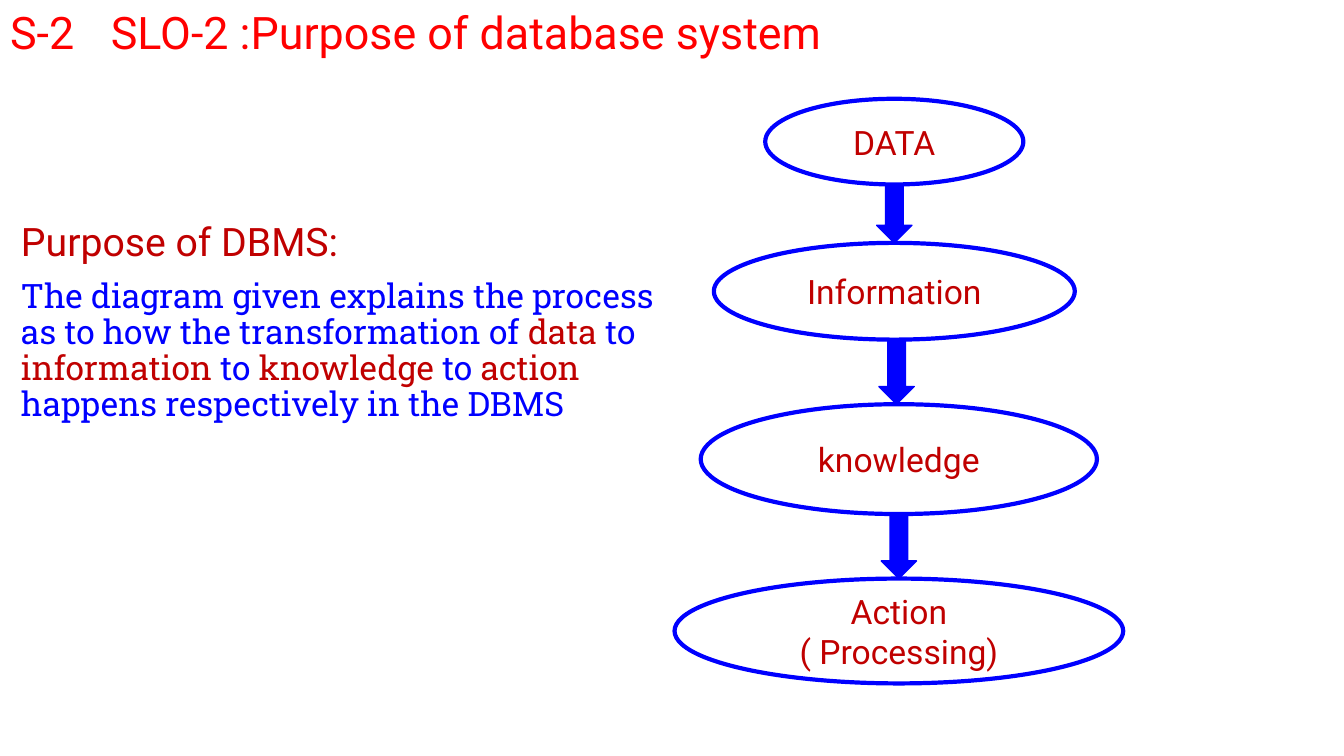
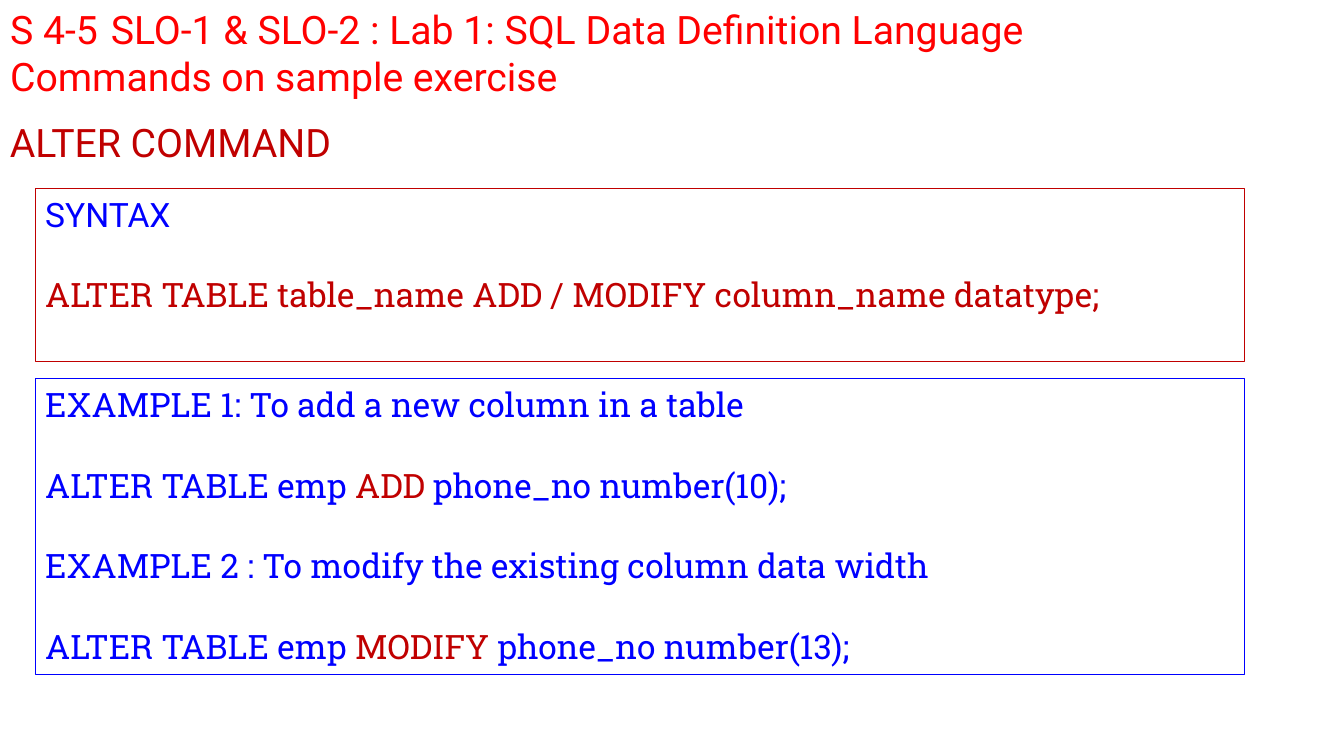
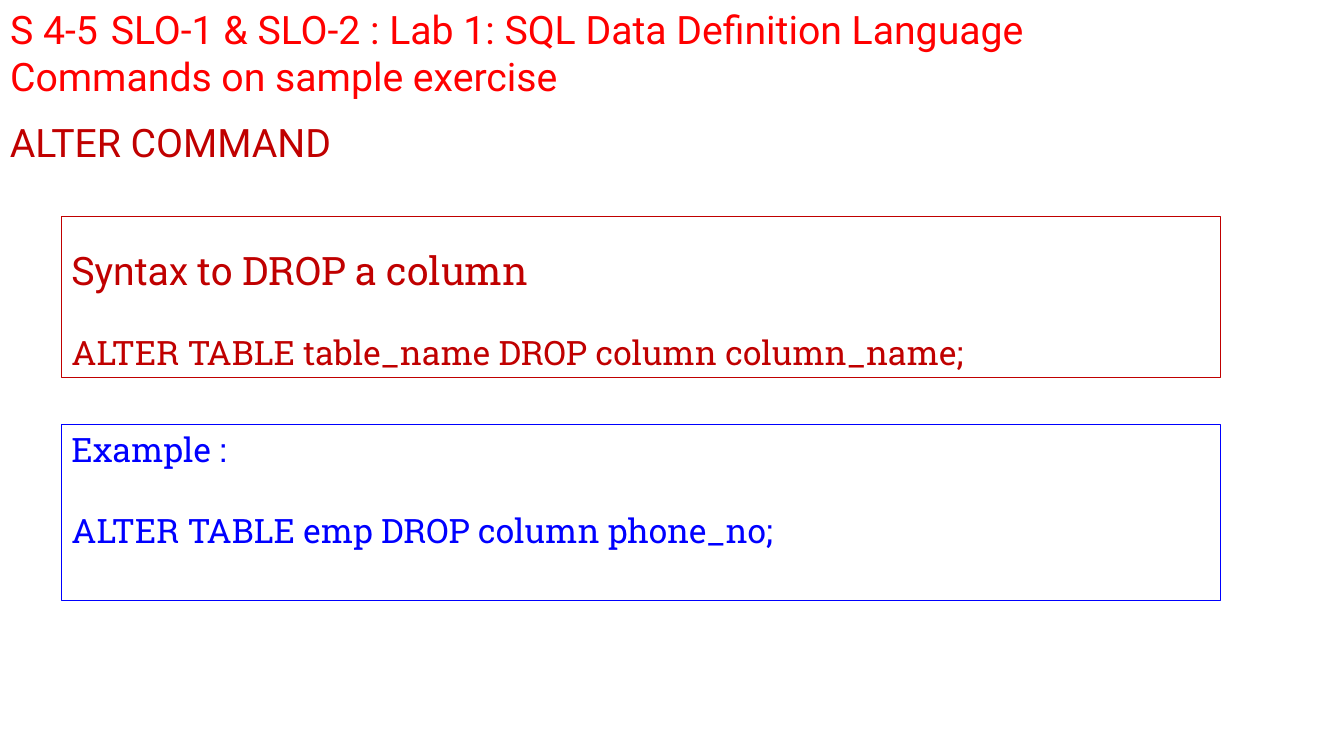
from pptx import Presentation
from pptx.dml.color import RGBColor
from pptx.enum.shapes import MSO_SHAPE as SHAPE
from pptx.enum.text import MSO_ANCHOR as ANCHOR, MSO_AUTO_SIZE as AUTO_SIZE, PP_ALIGN as ALIGN
from pptx.util import Inches, Pt

RED, DARK_RED, BLUE = "FF0000", "C00000", "0000FF"
SANS, SLAB = "Roboto", "Roboto Slab"
LINE_GAP = 28.8  # one blank line of 24 point text
color = RGBColor.from_string


def write(shape, paragraphs, align=ALIGN.LEFT, anchor=ANCHOR.TOP, spacing=1.0):
    """Fill a shape with (text, size, font, colour, space before) paragraphs.

    Every second part of a text split at "|" is set in dark red slab type.
    """
    frame = shape.text_frame
    frame.word_wrap = True
    frame.auto_size = AUTO_SIZE.NONE
    frame.vertical_anchor = anchor
    for index, (text, size, font, hue, before) in enumerate(paragraphs):
        paragraph = frame.add_paragraph() if index else frame.paragraphs[0]
        paragraph.alignment = align
        paragraph.line_spacing = spacing
        paragraph.space_before = Pt(before)
        paragraph.font.size = Pt(size)
        paragraph.font.name = font
        paragraph.font.color.rgb = color(hue)
        for part, words in enumerate(text.split("|")):
            run = paragraph.add_run()
            run.text = words
            if part % 2:
                run.font.name = SLAB
                run.font.color.rgb = color(DARK_RED)


def add_outline(slide, preset, box, line_color, line_width):
    shape = slide.shapes.add_shape(preset, *map(Inches, box))
    shape.shadow.inherit = False
    shape.fill.background()
    shape.line.color.rgb = color(line_color)
    shape.line.width = Pt(line_width)
    return shape


presentation = Presentation()
presentation.slide_width = Inches(13.33)
presentation.slide_height = Inches(7.5)

# Titles, shared by all slides
LAB_TITLE = "S 4-5\tSLO-1 & SLO-2 : Lab 1: SQL Data Definition Language Commands on sample exercise"
slides = []
for text, size, height in [
    ("S-2 \tSLO-2 :Purpose of database system", 32, 1.18),
    (LAB_TITLE, 28, 1.04),
    (LAB_TITLE, 28, 1.04),
]:
    slide = presentation.slides.add_slide(presentation.slide_layouts[5])
    title = slide.shapes.title
    title.left, title.top = Inches(0), Inches(0)
    title.width, title.height = Inches(12), Inches(height)
    write(title, [(text, size, SANS, RED, 0)])
    slides.append(slide)
purpose_slide, alter_slide, drop_slide = slides

# Purpose of DBMS
purpose = purpose_slide.shapes.add_textbox(Inches(0.11), Inches(2.16), Inches(6.84), Inches(4.13))
write(purpose, [
    ("Purpose of DBMS:", 28, SANS, DARK_RED, 0),
    ("The diagram given explains the process as to how the transformation of |data| to "
     "|information| to |knowledge| to |action| happens respectively in the DBMS",
     24, SLAB, BLUE, 10),
], spacing=0.9)

# Chain of ellipses, each with an arrow down from the one above
ARROW_WIDTH = 0.35
stages = [
    (["DATA"], 7.59, 0.98, 2.56, 0.85),
    (["Information"], 7.08, 2.41, 3.58, 0.96),
    (["knowledge"], 6.95, 4.01, 3.93, 1.09),
    (["Action", "( Processing)"], 6.69, 5.74, 4.45, 1.04),
]
for lines, *box in stages:
    ellipse = add_outline(purpose_slide, SHAPE.OVAL, box, BLUE, 3)
    write(ellipse, [(line, 24, SANS, DARK_RED, 0) for line in lines], ALIGN.CENTER, ANCHOR.MIDDLE)
for upper, lower in zip(stages, stages[1:]):
    _, left, top, width, height = upper
    _, next_left, next_top, next_width, _ = lower
    center = (left + width / 2 + next_left + next_width / 2) / 2
    bottom = top + height
    arrow = add_outline(purpose_slide, SHAPE.DOWN_ARROW,
                        (center - ARROW_WIDTH / 2, bottom, ARROW_WIDTH, next_top - bottom), BLUE, 1)
    arrow.fill.solid()
    arrow.fill.fore_color.rgb = color(BLUE)

# Heading of the two ALTER slides
for slide in (alter_slide, drop_slide):
    heading = slide.shapes.add_textbox(Inches(0), Inches(1.21), Inches(11.5), Inches(0.49))
    write(heading, [("ALTER COMMAND", 28, SANS, DARK_RED, 0)], spacing=0.8)

# Add or modify a column
syntax = add_outline(alter_slide, SHAPE.RECTANGLE, (0.35, 1.87, 11.99, 1.72), DARK_RED, 0.75)
write(syntax, [
    ("SYNTAX", 24, SANS, BLUE, 0),
    ("ALTER TABLE table_name ADD / MODIFY column_name datatype;", 24, SLAB, DARK_RED, LINE_GAP),
])
examples = add_outline(alter_slide, SHAPE.RECTANGLE, (0.35, 3.76, 11.99, 2.93), BLUE, 0.75)
write(examples, [
    ("EXAMPLE 1: To add a new column in a table", 24, SLAB, BLUE, 0),
    ("ALTER TABLE emp |ADD |phone_no number(10);", 24, SLAB, BLUE, LINE_GAP),
    ("EXAMPLE 2 : To modify the existing column data width", 24, SLAB, BLUE, LINE_GAP),
    ("ALTER TABLE emp |MODIFY |phone_no number(13);", 24, SLAB, BLUE, LINE_GAP),
])

# Drop a column
drop_syntax = add_outline(drop_slide, SHAPE.RECTANGLE, (0.61, 2.15, 11.5, 1.6), DARK_RED, 0.75)
write(drop_syntax, [
    ("Syntax |to DROP a column", 28, SANS, DARK_RED, 0),
    ("ALTER TABLE table_name DROP column column_name;", 24, SLAB, DARK_RED, 30),
], spacing=0.9)
drop_syntax.text_frame.margin_top = Inches(0.35)
drop_example = add_outline(drop_slide, SHAPE.RECTANGLE, (0.61, 4.21, 11.5, 1.75), BLUE, 0.75)
write(drop_example, [
    ("Example :", 24, SLAB, BLUE, 0),
    ("ALTER TABLE emp DROP column phone_no;", 24, SLAB, BLUE, LINE_GAP),
])

presentation.save("out.pptx")
